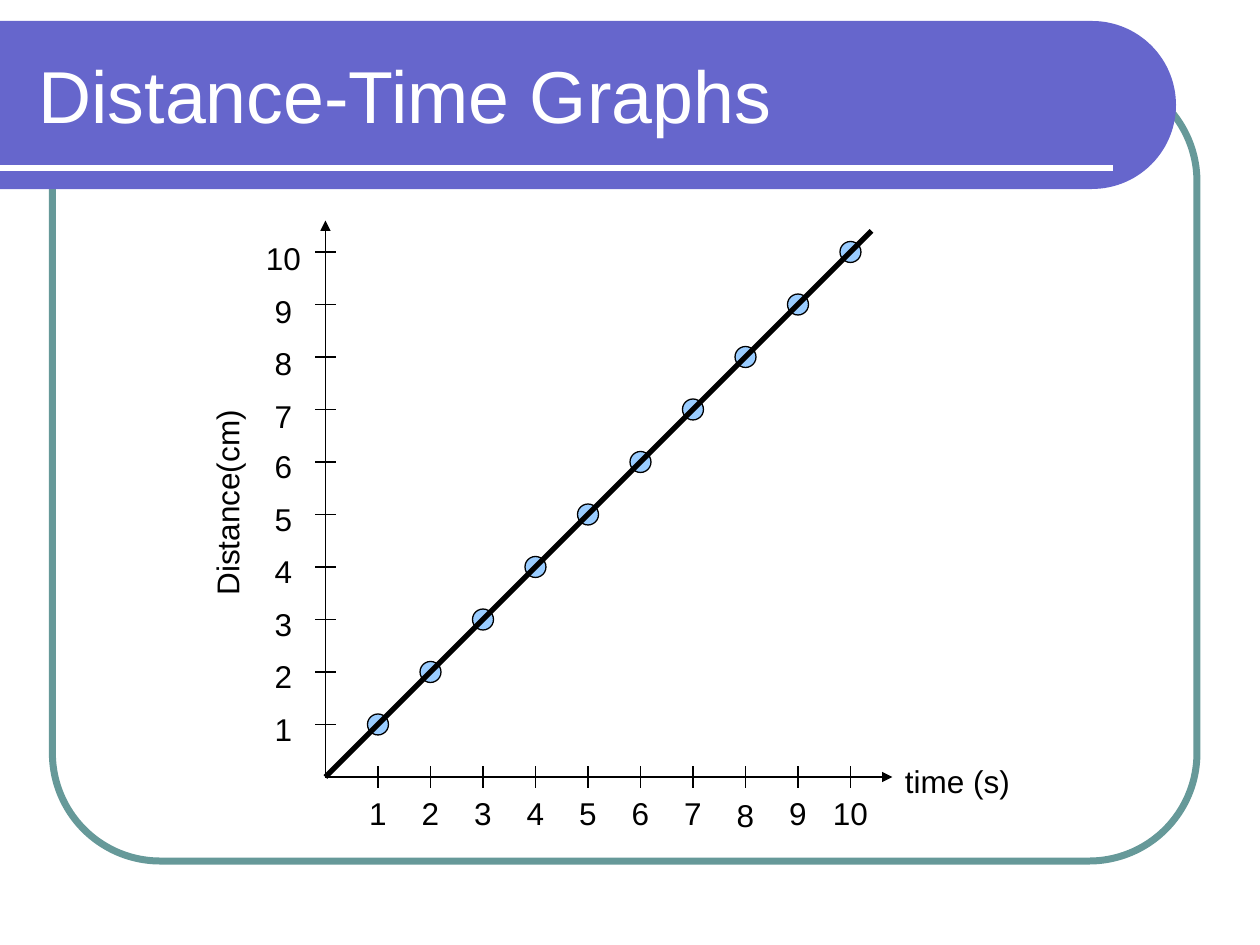
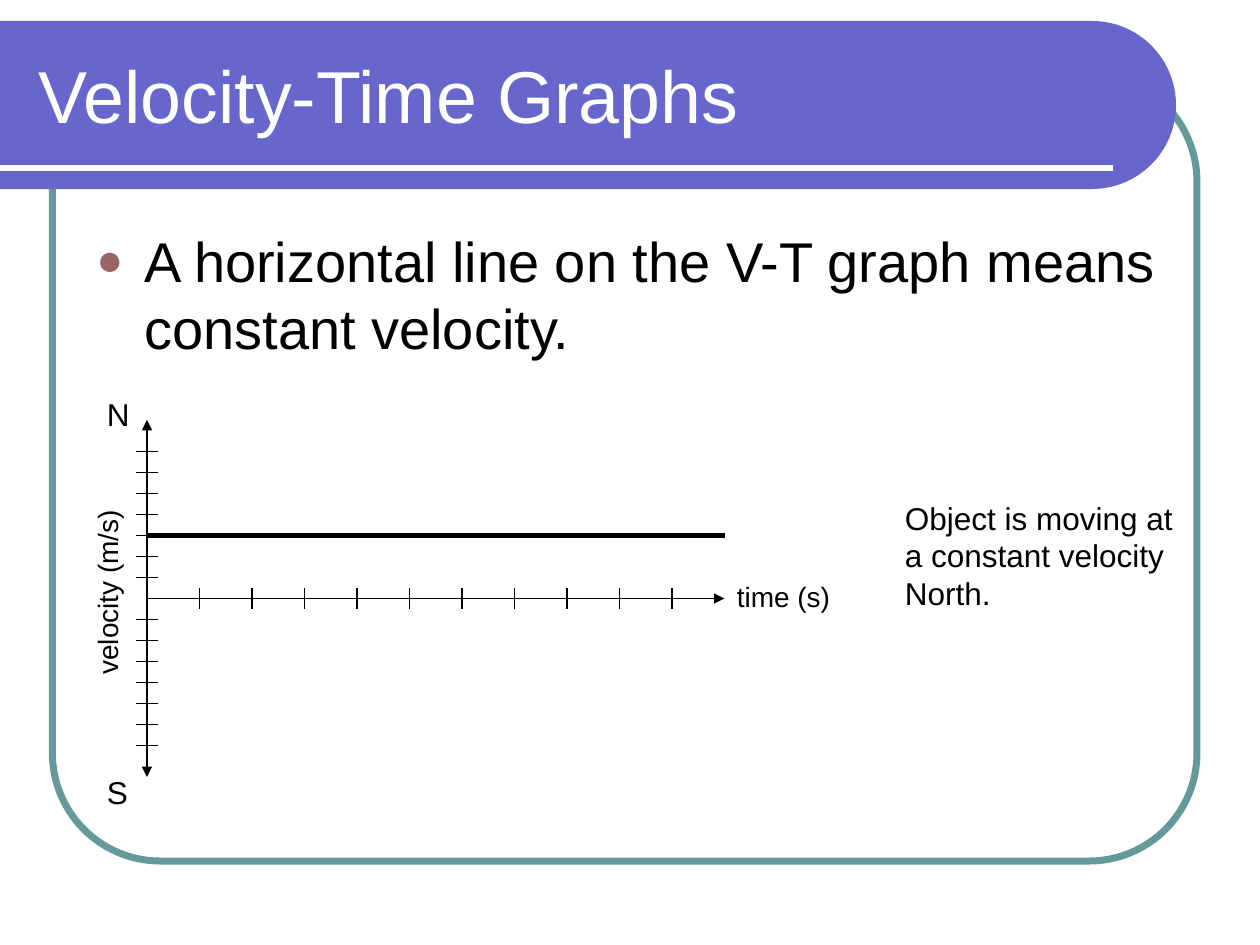
from dataclasses import dataclass
from math import cos, pi, sin

from lxml import etree
from pptx import Presentation
from pptx.dml.color import RGBColor
from pptx.enum.shapes import MSO_CONNECTOR, MSO_SHAPE
from pptx.enum.text import MSO_ANCHOR, MSO_AUTO_SIZE, PP_ALIGN
from pptx.oxml.ns import qn
from pptx.slide import Slide
from pptx.util import Emu, Inches, Pt

STRAIGHT = MSO_CONNECTOR.STRAIGHT
ROUNDED, OVAL = MSO_SHAPE.ROUNDED_RECTANGLE, MSO_SHAPE.OVAL
LEFT, CENTER = PP_ALIGN.LEFT, PP_ALIGN.CENTER
TOP, MIDDLE = MSO_ANCHOR.TOP, MSO_ANCHOR.MIDDLE
NO_FIT, GROW = MSO_AUTO_SIZE.NONE, MSO_AUTO_SIZE.SHAPE_TO_FIT_TEXT

# The slide is a grid of square cells, twelve to the inch
COLUMNS, ROWS = 120, 90
CELL = Inches(10) // COLUMNS


@dataclass(frozen=True)
class Theme:
    font: str = "Arial"
    band: str = "6666CC"
    frame: str = "669999"
    bullet: str = "996666"
    marker: str = "99CCFF"
    ink: str = "000000"
    paper: str = "FFFFFF"
    title_size: float = 42
    body_size: float = 32
    label_size: float = 18
    small_size: float = 16
    thin: float = 0.75
    thick: float = 3
    frame_width: float = 4


THEME = Theme()


@dataclass(frozen=True)
class Text:
    """Text in a box whose place is counted in grid cells."""
    words: str
    left: float
    top: float
    width: float
    height: float = 4.8
    size: float = THEME.label_size
    color: str = THEME.ink
    align: PP_ALIGN = LEFT
    anchor: MSO_ANCHOR = TOP
    fit: MSO_AUTO_SIZE = GROW
    before: float = 11.2
    rotation: float = 0
    bulleted: bool = False


@dataclass(frozen=True)
class Line:
    """Straight line between two grid points."""
    x1: float
    y1: float
    x2: float
    y2: float
    width: float = THEME.thin
    color: str = THEME.ink
    arrows: tuple[str, ...] = ()


def cells(*counts: float) -> list[Emu]:
    return [Emu(round(count * CELL)) for count in counts]


def rgb(value: str) -> RGBColor:
    return RGBColor.from_string(value)


def apply(target, values: dict) -> None:
    for attribute, value in values.items():
        setattr(target, attribute, value)


def add_bullet(paragraph) -> None:
    properties = paragraph._p.get_or_add_pPr()
    apply_indent = {"marL": Inches(0.38), "indent": -Inches(0.38)}
    for key, value in apply_indent.items():
        properties.set(key, str(value))
    color = etree.SubElement(properties, qn("a:buClr"))
    etree.SubElement(color, qn("a:srgbClr"), val=THEME.bullet)
    etree.SubElement(properties, qn("a:buSzPct"), val="80000")
    etree.SubElement(properties, qn("a:buFont"), typeface=THEME.font)
    etree.SubElement(properties, qn("a:buChar"), char="●")


def draw_text(slide: Slide, text: Text) -> None:
    box = slide.shapes.add_textbox(
        *cells(text.left, text.top, text.width, text.height))
    box.rotation = text.rotation
    frame = box.text_frame
    apply(frame, {"word_wrap": True, "auto_size": text.fit,
                  "vertical_anchor": text.anchor})
    paragraph = frame.paragraphs[0]
    apply(paragraph, {"text": text.words, "alignment": text.align,
                      "space_before": Pt(text.before)})
    font = paragraph.runs[0].font
    apply(font, {"name": THEME.font, "size": Pt(text.size)})
    font.color.rgb = rgb(text.color)
    if text.bulleted:
        add_bullet(paragraph)


def draw_line(slide: Slide, line: Line) -> None:
    connector = slide.shapes.add_connector(
        STRAIGHT, *cells(line.x1, line.y1, line.x2, line.y2))
    connector.line.width = Pt(line.width)
    connector.line.color.rgb = rgb(line.color)
    outline = connector.line._get_or_add_ln()
    for end in line.arrows:
        etree.SubElement(outline, qn(f"a:{end}"), type="triangle")
    etree.SubElement(connector.element.spPr, qn("a:effectLst"))


def draw_ticks(slide: Slide, columns: list[int], axis_row: int,
               rows: list[int], axis_column: int) -> None:
    for column in columns:
        draw_line(slide, Line(column, axis_row - 1, column, axis_row + 1))
    for row in rows:
        draw_line(slide, Line(axis_column - 1, row, axis_column + 1, row))


def draw_background(slide: Slide, title: str) -> None:
    # Rounded frame
    frame = slide.shapes.add_shape(ROUNDED, *cells(5, 7, 109, 75))
    frame.adjustments[0] = 0.137
    frame.shadow.inherit = False
    frame.fill.background()
    frame.line.color.rgb = rgb(THEME.frame)
    frame.line.width = Pt(THEME.frame_width)

    # Title band ending in a half circle
    center_x, center_y, radius, steps = 104, 10, 8, 60
    arc = [cells(center_x + radius * sin(pi * step / steps),
                 center_y - radius * cos(pi * step / steps))
           for step in range(steps + 1)]
    builder = slide.shapes.build_freeform(*cells(0, center_y - radius))
    builder.add_line_segments(arc + [cells(0, center_y + radius)])
    band = builder.convert_to_shape()
    band.shadow.inherit = False
    band.fill.solid()
    band.fill.fore_color.rgb = rgb(THEME.band)
    band.line.fill.background()

    # Rule and title
    draw_line(slide, Line(0, 16, 106, 16, THEME.thick, THEME.paper))
    draw_text(slide, Text(title, 2.5, 3, 105.25, 12, THEME.title_size,
                          THEME.paper, anchor=MIDDLE, fit=NO_FIT, before=0))


def draw_marker(slide: Slide, column: float, row: float) -> None:
    marker = slide.shapes.add_shape(OVAL, *cells(column - 1, row - 1, 2, 2))
    marker.shadow.inherit = False
    marker.fill.solid()
    marker.fill.fore_color.rgb = rgb(THEME.marker)
    marker.line.color.rgb = rgb(THEME.ink)
    marker.line.width = Pt(THEME.thin)


def build_distance_slide(slide: Slide) -> None:
    draw_background(slide, "Distance-Time Graphs")
    origin_x, origin_y, step = 31, 74, 5
    values = range(1, 11)
    times = [origin_x + step * value for value in values]
    distances = [origin_y - step * value for value in values]

    # Axes and ticks
    draw_line(slide, Line(origin_x, 21, origin_x, origin_y,
                          arrows=("headEnd",)))
    draw_line(slide, Line(origin_x, origin_y, 85, origin_y,
                          arrows=("tailEnd",)))
    draw_ticks(slide, times, origin_y, distances, origin_x)

    # Numbers and axis names
    for value, column, row in zip(values, times, distances):
        time_drop = 0.2 if value == 8 else 0
        distance_drop = 0.2 if value >= 7 else 0
        for left, top in ((column - 3, origin_y + 1 + time_drop),
                          (origin_x - 7, row - 2 + distance_drop)):
            draw_text(slide, Text(str(value), left, top, 6, align=CENTER))
    draw_text(slide, Text("time (s)", 85, 72, 15))
    draw_text(slide, Text("Distance(cm)", 10.1, 44, 23, rotation=270))

    # Measurements and the line through them
    for column, row in zip(times, distances):
        draw_marker(slide, column, row)
    draw_line(slide, Line(origin_x, origin_y, 83, 22, THEME.thick))


def build_velocity_slide(slide: Slide) -> None:
    draw_background(slide, "Velocity-Time Graphs")
    draw_text(slide, Text(
        "A horizontal line on the V-T graph means constant velocity.",
        8, 21, 104, 58, THEME.body_size, fit=NO_FIT, before=8, bulleted=True))
    origin_x, origin_y, axis_end = 14, 57, 69

    # Axes and ticks
    draw_line(slide, Line(origin_x, 40, origin_x, 74,
                          arrows=("headEnd", "tailEnd")))
    draw_line(slide, Line(origin_x, origin_y, axis_end, origin_y,
                          arrows=("tailEnd",)))
    times = [origin_x + 5 * number for number in range(1, 11)]
    velocities = [origin_y + 2 * number for number in range(-7, 8) if number]
    draw_ticks(slide, times, origin_y, velocities, origin_x)

    # Axis names and directions
    small = {"height": 4.4, "size": THEME.small_size, "before": 10}
    draw_text(slide, Text("time (s)", axis_end, 54.6, 12, **small))
    draw_text(slide, Text("velocity (m/s)", 0.7, 54.2, 19, align=CENTER,
                          rotation=270, **small))
    for direction, top in (("N", 37), ("S", 73)):
        draw_text(slide, Text(direction, 9, top, 5))

    # Constant velocity and its meaning
    draw_line(slide, Line(origin_x, 51, axis_end, 51, THEME.thick))
    draw_text(slide, Text("Object is moving at a constant velocity North.",
                          85, 46.9, 28, 12))


def main() -> None:
    deck = Presentation()
    apply(deck, {"slide_width": COLUMNS * CELL, "slide_height": ROWS * CELL})
    blank = deck.slide_layouts[6]
    for build in (build_distance_slide, build_velocity_slide):
        build(deck.slides.add_slide(blank))
    deck.save("out.pptx")


if __name__ == "__main__":
    main()
